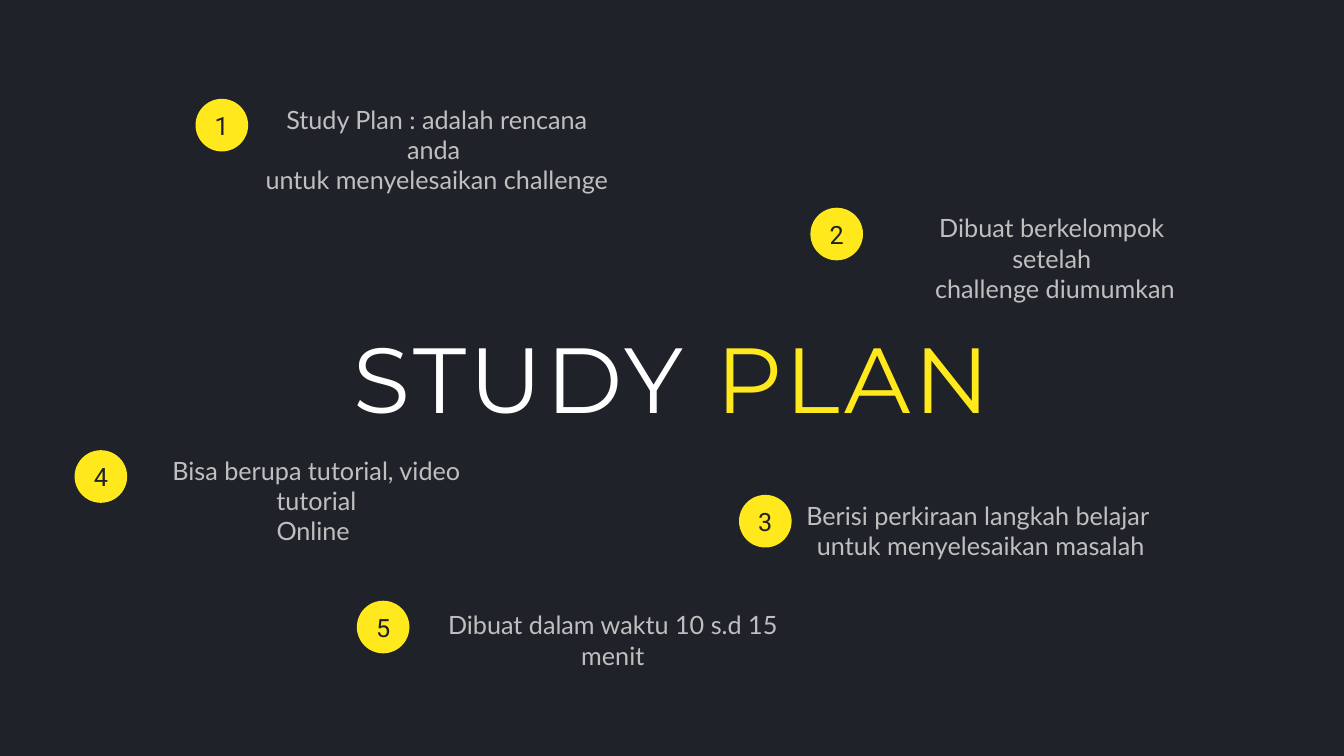
from pptx import Presentation
from pptx.dml.color import RGBColor
from pptx.enum import shapes, text
from pptx.util import Pt

HUES = {"night": "1F2228", "sun": "FFE91C", "white": "FFFFFF", "grey": "BFBFBF"}
DISC = 37.6


def hue(name):
    return RGBColor.from_string(HUES[name])


def add_run(para, words, size, font, tone):
    para.alignment = text.PP_ALIGN.CENTER
    run = para.add_run()
    run.text = words
    run.font.size = Pt(size)
    run.font.name = font
    run.font.color.rgb = hue(tone)
    return run


deck = Presentation()
deck.slide_width, deck.slide_height = Pt(960), Pt(540)
slide = deck.slides.add_slide(deck.slide_layouts[6])
slide.background.fill.solid()
slide.background.fill.fore_color.rgb = hue("night")

# Title
title = slide.shapes.add_textbox(Pt(227.5), Pt(226.1), Pt(504.7), Pt(87.1))
frame = title.text_frame
frame.word_wrap = False
frame.auto_size = text.MSO_AUTO_SIZE.SHAPE_TO_FIT_TEXT
for words, tone in (("STUDY ", "white"), ("PLAN", "sun")):
    run = add_run(frame.paragraphs[0], words, 66, "Montserrat", tone)
    run.font._element.set("spc", "300")

# Steps: disc left and top, note left, top, width and height, lines
steps = [
    (139.7, 70.6, 177.8, 70.6, 268.6, 51,
     ["Study Plan : adalah rencana anda ", "untuk menyelesaikan challenge"]),
    (578.9, 148.4, 635, 148.4, 232.6, 51,
     ["Dibuat berkelompok setelah", " challenge diumumkan"]),
    (527.9, 353.5, 568.1, 353.5, 265, 51,
     ["Berisi perkiraan langkah belajar ", "untuk menyelesaikan masalah"]),
    (53.3, 321.6, 87.8, 321.6, 276.5, 51,
     ["Bisa berupa tutorial, video tutorial", "Online "]),
    (254.9, 429.1, 292.3, 432, 290.9, 29,
     ["Dibuat dalam waktu 10 s.d 15 menit"]),
]
for num, (left, top, x, y, wide, high, lines) in enumerate(steps, 1):
    group = slide.shapes.add_group_shape()
    disc = group.shapes.add_shape(
        shapes.MSO_SHAPE.OVAL, Pt(left), Pt(top), Pt(DISC), Pt(DISC))
    disc.shadow.inherit = False
    disc.fill.solid()
    disc.fill.fore_color.rgb = hue("sun")
    disc.line.fill.background()
    disc.text_frame.vertical_anchor = text.MSO_ANCHOR.MIDDLE
    add_run(disc.text_frame.paragraphs[0], str(num), 18, "Roboto", "night")

    note = group.shapes.add_textbox(Pt(x), Pt(y), Pt(wide), Pt(high))
    frame = note.text_frame
    frame.word_wrap = True
    for row, words in enumerate(lines):
        para = frame.add_paragraph() if row else frame.paragraphs[0]
        add_run(para, words, 18, "Lato", "grey")

deck.save("out.pptx")
